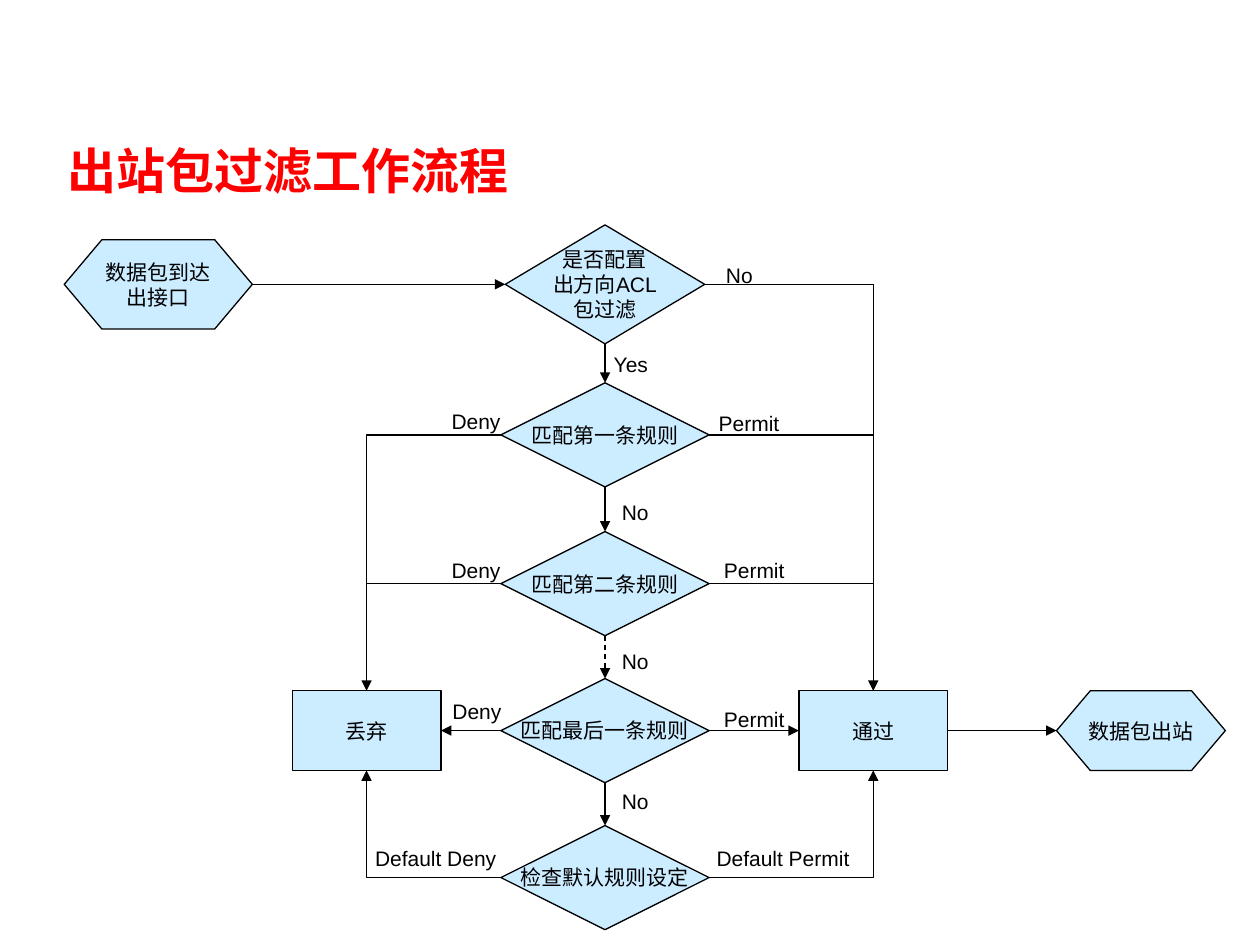
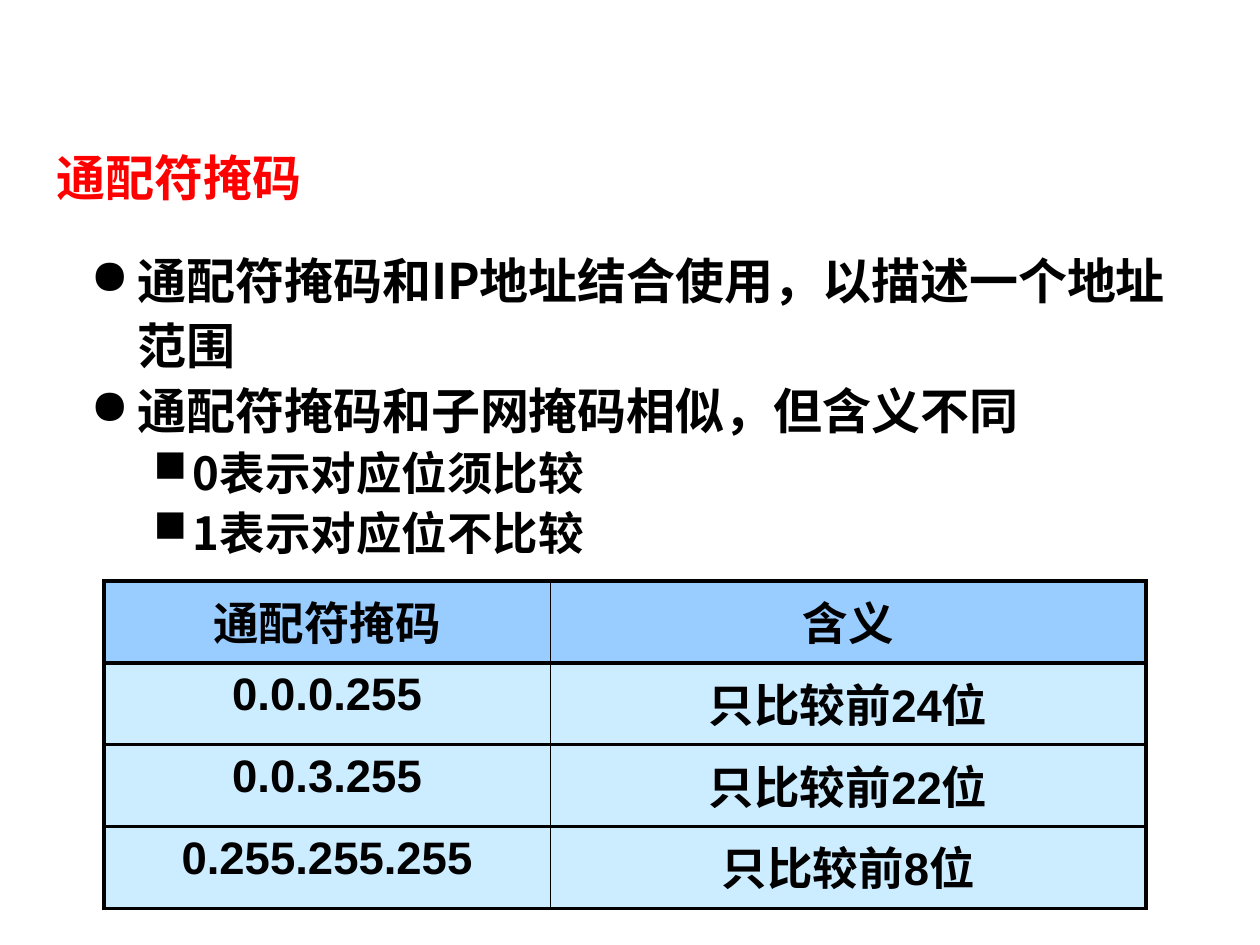
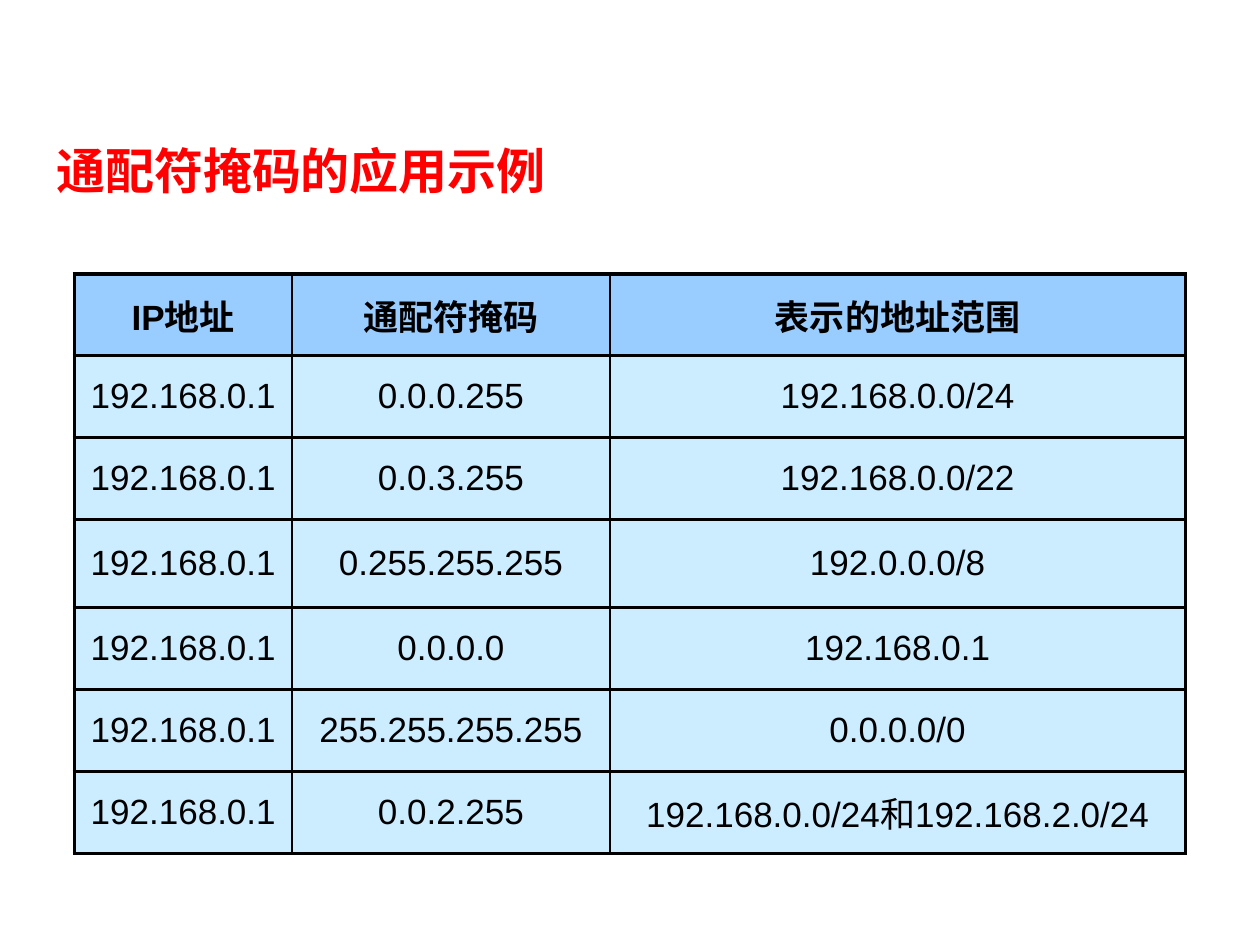
"""Build three slides on outbound packet filters and wildcard masks."""
from dataclasses import dataclass
from itertools import pairwise

from lxml.etree import SubElement
from pptx import Presentation
from pptx.dml.color import RGBColor
from pptx.enum.dml import MSO_LINE
from pptx.enum.shapes import MSO_CONNECTOR, MSO_SHAPE
from pptx.enum.text import MSO_ANCHOR, PP_ALIGN
from pptx.oxml.ns import qn
from pptx.util import Pt

TOP, LEFT, BASE, RIGHT = range(4)


@dataclass(frozen=True)
class Theme:
    ink: RGBColor = RGBColor(0, 0, 0)
    red: RGBColor = RGBColor(255, 0, 0)
    pale: RGBColor = RGBColor(0xCC, 0xEC, 0xFF)
    head: RGBColor = RGBColor(0x99, 0xCC, 0xFF)
    latin: str = "Arial"
    asian: str = "Noto Sans CJK SC"
    bold: str = "Noto Sans CJK JP"
    title: float = 28
    sub: float = 26
    grid: float = 20
    note: float = 12
    thin: float = 0.75
    rule: float = 1
    thick: float = 2.25


class Deck:
    def __init__(self, theme):
        self.theme = theme
        self.file = Presentation()
        self.file.slide_width, self.file.slide_height = Pt(720), Pt(540)
        self.slide = None

    def text(self, para, words, size, bold=False, latin=None, asian=None, color=None):
        run = para.add_run()
        run.text = words
        font = run.font
        font.size, font.bold = Pt(size), bold
        font.name = latin or self.theme.latin
        font.color.rgb = color or self.theme.ink
        SubElement(font._element, qn("a:ea"), typeface=asian or self.theme.asian)

    def page(self, title, left, top):
        self.slide = self.file.slides.add_slide(self.file.slide_layouts[5])
        box = self.slide.shapes.title
        box.left, box.top, box.width, box.height = Pt(left), Pt(top), Pt(620), Pt(51)
        box.text_frame.vertical_anchor = MSO_ANCHOR.MIDDLE
        para = box.text_frame.paragraphs[0]
        para.alignment = PP_ALIGN.LEFT
        face = self.theme.bold
        self.text(para, title, self.theme.title, True, face, face, self.theme.red)

    def node(self, kind, x, y, wide, high, *lines):
        shape = self.slide.shapes.add_shape(
            kind, Pt(x - wide / 2), Pt(y - high / 2), Pt(wide), Pt(high))
        shape.shadow.inherit = False
        shape.fill.solid()
        shape.fill.fore_color.rgb = self.theme.pale
        shape.line.color.rgb = self.theme.ink
        shape.line.width = Pt(self.theme.thin)
        frame = shape.text_frame
        frame.word_wrap = False
        frame.vertical_anchor = MSO_ANCHOR.MIDDLE
        for i, line in enumerate(lines):
            para = frame.add_paragraph() if i else frame.paragraphs[0]
            para.alignment = PP_ALIGN.CENTER
            self.text(para, line, self.theme.note)
        return shape

    def link(self, start, out, end, into, arrow=True, dash=False):
        bent = (out - into) % 2 == 1
        kind = MSO_CONNECTOR.ELBOW if bent else MSO_CONNECTOR.STRAIGHT
        line = self.slide.shapes.add_connector(kind, 0, 0, 0, 0)
        line.begin_connect(start, out)
        line.end_connect(end, into)
        line.line.color.rgb = self.theme.ink
        line.line.width = Pt(self.theme.thin)
        if dash:
            line.line.dash_style = MSO_LINE.DASH
        props = line.element.spPr
        if bent:
            props.find(qn("a:prstGeom")).set("prst", "bentConnector2")
        if arrow:
            SubElement(props.find(qn("a:ln")), qn("a:tailEnd"), type="triangle")
        SubElement(props, qn("a:effectLst"))

    def label(self, words, x, y, wide=63):
        high = 21.6
        box = self.slide.shapes.add_textbox(
            Pt(x - wide / 2), Pt(y - high / 2), Pt(wide), Pt(high))
        box.text_frame.word_wrap = True
        para = box.text_frame.paragraphs[0]
        para.alignment = PP_ALIGN.CENTER
        self.text(para, words, self.theme.note)

    def points(self, left, top, wide, high, items):
        frame = self.slide.shapes.add_textbox(
            Pt(left), Pt(top), Pt(wide), Pt(high)).text_frame
        frame.word_wrap = True
        looks = [("●", self.theme.title, 27, 27, 37.2),
                 ("■", self.theme.sub, 58.5, 22.5, 34.2)]
        for i, (level, words) in enumerate(items):
            mark, size, edge, hang, pitch = looks[level]
            para = frame.add_paragraph() if i else frame.paragraphs[0]
            para.level, para.line_spacing = level, Pt(pitch)
            props = para._p.get_or_add_pPr()
            props.set("marL", str(Pt(edge)))
            props.set("indent", str(-Pt(hang)))
            SubElement(props, qn("a:buChar"), char=mark)
            self.text(para, words, size, True, self.theme.asian)

    def edge(self, cell, side, width):
        line = SubElement(cell._tc.get_or_add_tcPr(), qn(f"a:ln{side}"), w=str(Pt(width)))
        fill = SubElement(line, qn("a:solidFill"))
        SubElement(fill, qn("a:srgbClr"), val=str(self.theme.ink))

    def table(self, left, top, cols, highs, rows, size, anchor, bold):
        look = self.theme
        table = self.slide.shapes.add_table(
            len(rows), len(cols), Pt(left), Pt(top), Pt(sum(cols)), Pt(sum(highs))).table
        table.first_row = table.horz_banding = False
        for col, wide in zip(table.columns, cols):
            col.width = Pt(wide)
        for r, (row, high) in enumerate(zip(rows, highs)):
            table.rows[r].height = Pt(high)
            for c, words in enumerate(row):
                cell = table.cell(r, c)
                self.edge(cell, "L", look.rule if c else look.thick)
                self.edge(cell, "R", look.rule if c < len(cols) - 1 else look.thick)
                self.edge(cell, "T", look.thick)
                self.edge(cell, "B", look.thick)
                cell.fill.solid()
                cell.fill.fore_color.rgb = look.pale if r else look.head
                cell.vertical_anchor = anchor
                para = cell.text_frame.paragraphs[0]
                para.alignment = PP_ALIGN.CENTER
                self.text(para, words, size, bold or r == 0)


def flow(deck):
    """Draw the flow of the outbound filter."""
    deck.page("出站包过滤工作流程", 31.5, 71.5)
    test, hexa, box = (MSO_SHAPE.FLOWCHART_DECISION, MSO_SHAPE.FLOWCHART_PREPARATION,
                       MSO_SHAPE.FLOWCHART_PROCESS)
    mid, first, last = 345.75, 162.5, 417.5
    start = deck.node(hexa, 90.5, first, 107.5, 51, "数据包到达", "出接口")
    gate = deck.node(test, mid, first, 114, 68, "是否配置", "出方向ACL", "包过滤")
    names = ["匹配第一条规则", "匹配第二条规则", "匹配最后一条规则", "检查默认规则设定"]
    rules = [deck.node(test, mid, y, 119, 59.5, name)
             for name, y in zip(names, [248.5, 333.5, last, 501.5])]
    drop = deck.node(box, 209.5, last, 85, 45.5, "丢弃")
    allow = deck.node(box, 499, last, 85, 45.5, "通过")
    leave = deck.node(hexa, 652, last, 96.5, 45.5, "数据包出站")

    deck.link(start, RIGHT, gate, LEFT)
    deck.link(gate, RIGHT, allow, TOP)
    deck.link(allow, RIGHT, leave, LEFT)
    for upper, lower in pairwise([gate, *rules]):
        deck.link(upper, BASE, lower, TOP, dash=upper is rules[1])
    for goal, out, near in [(drop, LEFT, RIGHT), (allow, RIGHT, LEFT)]:
        for rule, into in zip(rules, [TOP, TOP, near, BASE]):
            arrow = rule is not rules[1] and (rule is not rules[0] or goal is drop)
            deck.link(rule, out, goal, into, arrow)

    for note in [
        ("No", 422.5, 157), ("Yes", 360.5, 208),
        ("Deny", 272, 241), ("Permit", 428, 242),
        ("Deny", 272, 326), ("Permit", 431, 326),
        ("Deny", 272.5, 406.5), ("Permit", 431, 411),
        ("No", 363, 293), ("No", 363, 378), ("No", 363, 458),
        ("Default Deny", 249, 490.5, 119), ("Default Permit", 447.5, 490.5, 119),
    ]:
        deck.label(*note)


def mask(deck):
    """Explain the wildcard mask."""
    deck.page("通配符掩码", 25, 75.5)
    deck.points(44.5, 136, 644, 191, [
        (0, "通配符掩码和IP地址结合使用，以描述一个地址范围"),
        (0, "通配符掩码和子网掩码相似，但含义不同"),
        (1, "0表示对应位须比较"),
        (1, "1表示对应位不比较"),
    ])
    rows = [("通配符掩码", "含义"), ("0.0.0.255", "只比较前24位"),
            ("0.0.3.255", "只比较前22位"), ("0.255.255.255", "只比较前8位")]
    deck.table(59.5, 332, [255, 340.5], [46.8] * 4, rows,
               deck.theme.sub, MSO_ANCHOR.TOP, True)


def sample(deck):
    """Show masks in use."""
    deck.page("通配符掩码的应用示例", 25, 71.5)
    pairs = [("0.0.0.255", "192.168.0.0/24"), ("0.0.3.255", "192.168.0.0/22"),
             ("0.255.255.255", "192.0.0.0/8"), ("0.0.0.0", "192.168.0.1"),
             ("255.255.255.255", "0.0.0.0/0"),
             ("0.0.2.255", "192.168.0.0/24和192.168.2.0/24")]
    rows = [("IP地址", "通配符掩码", "表示的地址范围")]
    rows += [("192.168.0.1", *pair) for pair in pairs]
    highs = [46.8] * 3 + [50.4] + [46.8] * 3
    deck.table(42.5, 156.5, [124.5, 181.5, 329], highs, rows,
               deck.theme.grid, MSO_ANCHOR.MIDDLE, False)


def main():
    """Build and save the deck."""
    deck = Deck(Theme())
    for draw in (flow, mask, sample):
        draw(deck)
    deck.file.save("out.pptx")


if __name__ == "__main__":
    main()
